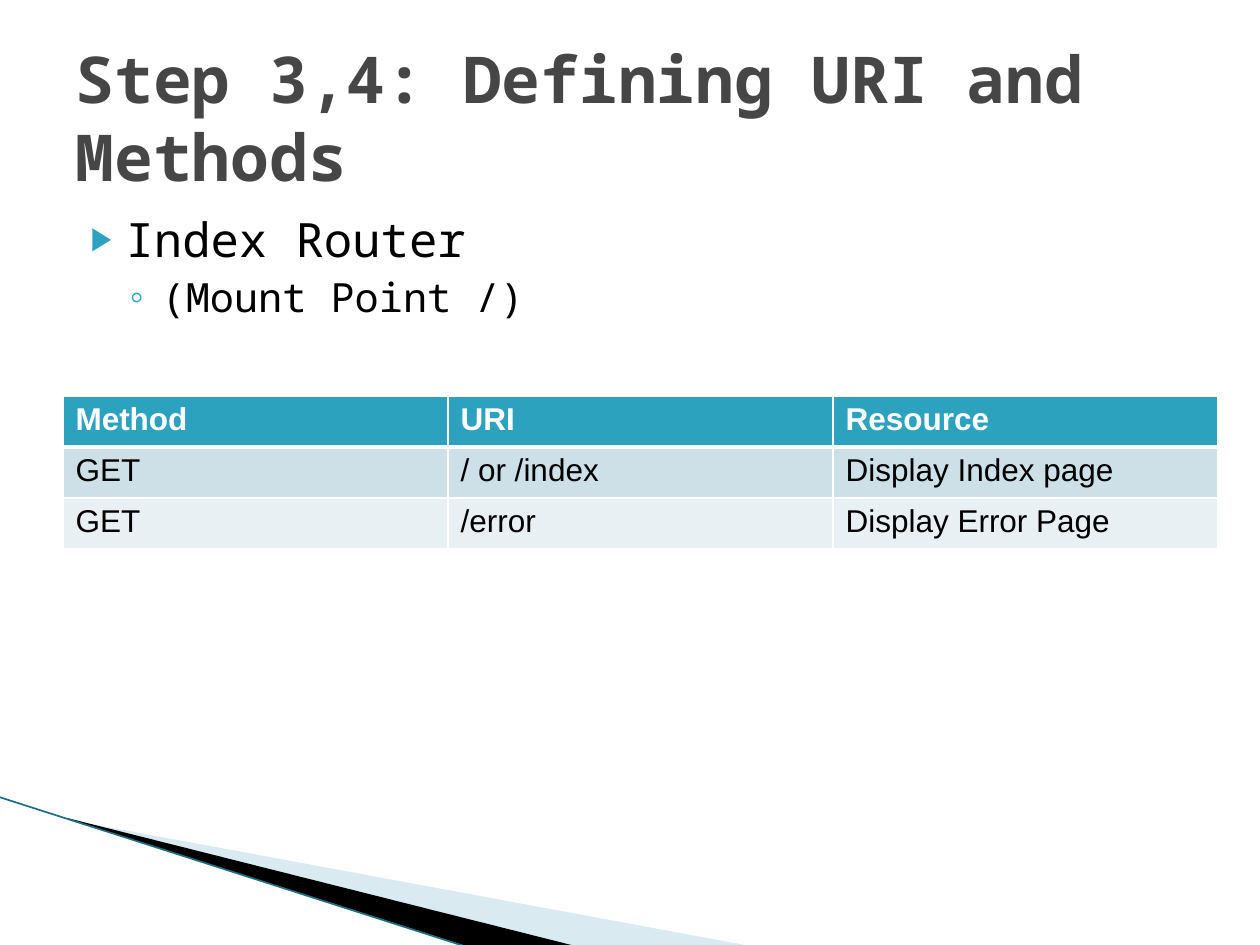
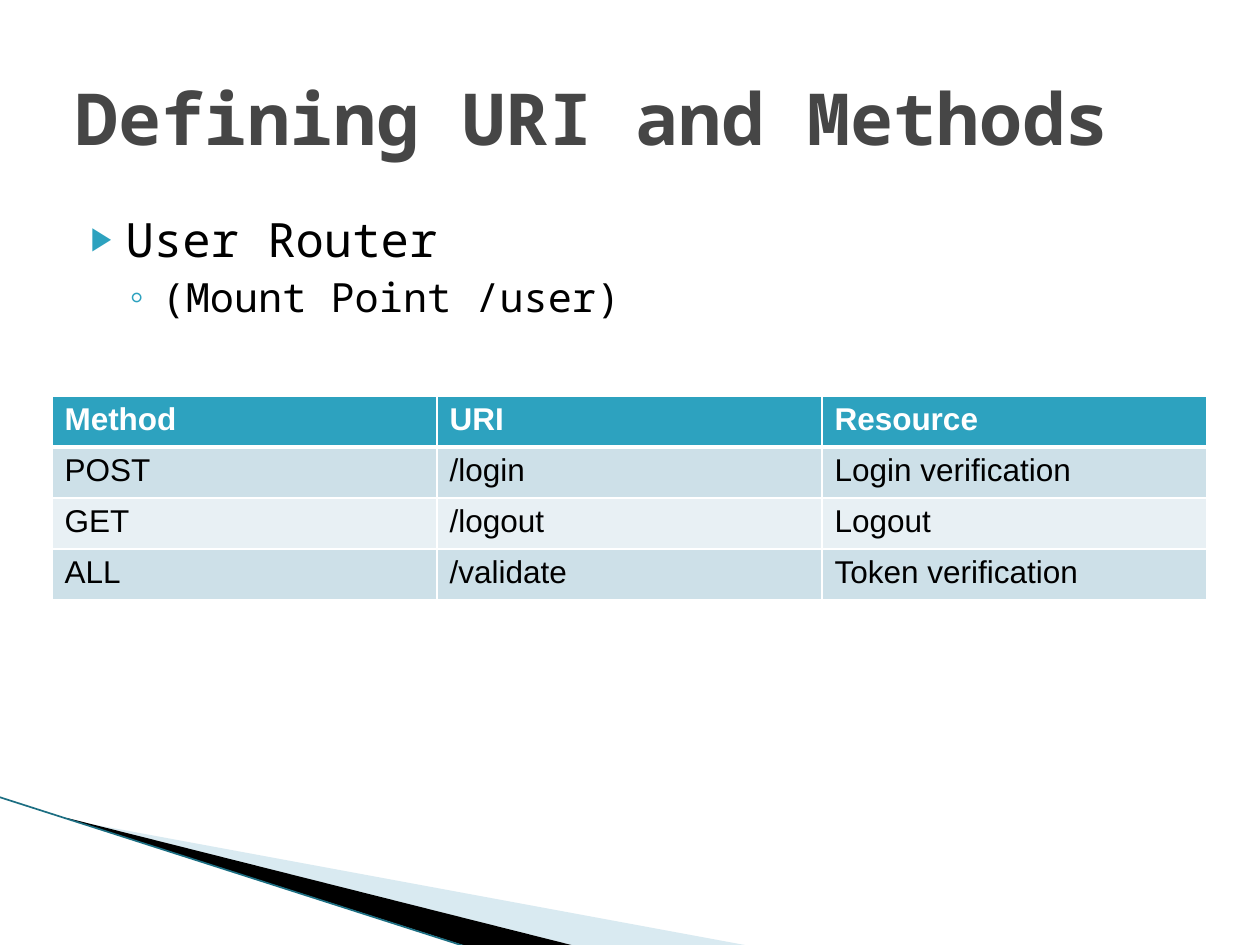
from lxml.etree import SubElement
from pptx import Presentation
from pptx.dml.color import RGBColor
from pptx.enum.shapes import MSO_CONNECTOR as Connector
from pptx.enum.text import MSO_ANCHOR as Anchor, MSO_AUTO_SIZE as AutoSize, PP_ALIGN as Align
from pptx.oxml.ns import qn
from pptx.util import Pt

PX = 914400 / 126
SLIDE_BOX = (0, 0, 1260, 945)
TITLE_BOX = (63, 38, 1134, 157)
COLORS = {
    "title": "464646", "text": "000000", "accent": "2DA2BF", "white": "FFFFFF",
    "band": "CDE0E8", "band_light": "E8F0F4",
    "wedge": "A0CBDC", "wedge_dark": "000000", "edge": "1C6E82",
}
HEADING_FONT, TABLE_FONT = "Noto Sans Mono", "Arial"
LEVELS = [
    {"size": 27, "before": 4, "margin": 50, "indent": -35, "bullet": "▶", "scale": 68},
    {"size": 23, "before": 3.2, "margin": 86, "indent": -32, "bullet": "◦", "scale": 100},
]
WEDGES = [
    ("wedge", 40, (98, 689, 524, 199), [(69, 820), (750, 946), (575, 946), (69, 819)]),
    ("wedge_dark", 100, (-8, 798, 524, 116), [(67, 818), (575, 946), (469, 947), (68, 819)]),
]
HEADER = ["Method", "URI", "Resource"]
SLIDES = [
    {
        "title": "Step 3,4: Defining URI and Methods", "title_size": 36.9,
        "body": ["Index Router", "(Mount Point /)"], "body_box": (63, 204, 1134, 174),
        "rows": [["GET", "/ or /index", "Display Index page"],
                 ["GET", "/error", "Display Error Page"]],
        "table_box": (63, 396, 1155, 153),
    },
    {
        "title": "Defining URI and Methods", "title_size": 41,
        "body": ["User Router", "(Mount Point /user)"], "body_box": (63, 204, 1134, 624),
        "rows": [["POST", "/login", "Login verification"],
                 ["GET", "/logout", "Logout"],
                 ["ALL", "/validate", "Token verification"]],
        "table_box": (52, 396, 1155, 204),
    },
]


def emu(*lengths):
    """Turn px lengths into EMU."""
    return [round(length * PX) for length in lengths]


def color(name):
    """Look up a palette colour."""
    return RGBColor.from_string(COLORS[name])


def place(shape, box):
    """Move a shape to a px box."""
    shape.left, shape.top, shape.width, shape.height = emu(*box)


def format_runs(paragraph, font, size, color_name, bold=False):
    """Apply one font to every run of a paragraph."""
    for run in paragraph.runs:
        run.font.name, run.font.size, run.font.bold = font, Pt(size), bold
        run.font.color.rgb = color(color_name)


def add_color(parent, color_name):
    """Append a colour to an XML element."""
    return SubElement(parent, qn("a:srgbClr"), val=COLORS[color_name])


def reframe(wedge, frame, points):
    """Give a freeform a frame of its own while its outline stays in place."""
    outline = wedge._element.find(".//" + qn("a:path"))
    outline.set("w", str(frame[2]))
    outline.set("h", str(frame[3]))
    for node, (x, y) in zip(outline.iter(qn("a:pt")), points):
        node.set("x", str(x - frame[0]))
        node.set("y", str(y - frame[1]))


def add_wedges(slide, box):
    """Draw the corner wedges and their edge line behind the placeholders."""
    left, top = box[:2]
    parts = []
    for color_name, opacity, frame, points in WEDGES:
        builder = slide.shapes.build_freeform(*points[0], scale=PX)
        builder.add_line_segments(points[1:])
        wedge = builder.convert_to_shape()
        reframe(wedge, frame, points)
        place(wedge, (left + frame[0], top + frame[1], *frame[2:]))
        wedge.shadow.inherit = False
        wedge.fill.solid()
        wedge.fill.fore_color.rgb = color(color_name)
        wedge.line.fill.background()
        if opacity < 100:
            tone = wedge._element.spPr.find(".//" + qn("a:srgbClr"))
            SubElement(tone, qn("a:alpha"), val=str(opacity * 1000))
        parts.append(wedge)
    edge = slide.shapes.add_connector(
        Connector.STRAIGHT, *emu(left - 1, top + 797, left + 467, top + 947))
    edge.line.color.rgb = color("edge")
    edge.line.width = Pt(0.95)
    SubElement(edge._element.spPr, qn("a:effectLst"))
    parts.append(edge)
    for position, part in enumerate(parts, 2):
        slide.shapes._spTree.insert(position, part._element)


def fill_title(slide, box, text, size):
    """Write the slide title."""
    title = slide.shapes.title
    place(title, box)
    frame = title.text_frame
    frame.text = text
    frame.word_wrap = True
    frame.auto_size = AutoSize.NONE
    frame.vertical_anchor = Anchor.MIDDLE
    paragraph = frame.paragraphs[0]
    paragraph.alignment = Align.LEFT
    format_runs(paragraph, HEADING_FONT, size, "title", True)


def set_bullet(paragraph, level):
    """Give a paragraph its indents and coloured bullet."""
    margin, indent = emu(level["margin"], level["indent"])
    properties = paragraph._p.get_or_add_pPr()
    properties.set("marL", str(margin))
    properties.set("indent", str(indent))
    add_color(SubElement(properties, qn("a:buClr")), "accent")
    SubElement(properties, qn("a:buSzPct"), val=str(level["scale"] * 1000))
    SubElement(properties, qn("a:buChar"), char=level["bullet"])


def fill_body(slide, box, lines):
    """Write the list, one level deeper on each line."""
    body = slide.placeholders[1]
    place(body, box)
    frame = body.text_frame
    frame.text = "\n".join(lines)
    frame.auto_size = AutoSize.NONE
    for depth, (paragraph, level) in enumerate(zip(frame.paragraphs, LEVELS)):
        paragraph.level = depth
        paragraph.space_before = Pt(level["before"])
        set_bullet(paragraph, level)
        format_runs(paragraph, HEADING_FONT, level["size"], "text")


def set_borders(cell, bottom):
    """Draw white borders round a cell."""
    properties = cell._tc.get_or_add_tcPr()
    widths = {"a:lnL": 1, "a:lnR": 1, "a:lnT": 1, "a:lnB": bottom}
    for position, (tag, width) in enumerate(widths.items()):
        border = SubElement(properties, qn(tag), w=str(Pt(width)))
        add_color(SubElement(border, qn("a:solidFill")), "white")
        properties.insert(position, border)


def add_route_table(slide, box, rows):
    """Add the table of routes under its header row."""
    rows = [HEADER] + rows
    table = slide.shapes.add_table(len(rows), len(HEADER), *emu(*box)).table
    for row_index, row in enumerate(rows):
        is_header = row_index == 0
        fill_name = "accent" if is_header else "band" if row_index % 2 else "band_light"
        for column_index, text in enumerate(row):
            cell = table.cell(row_index, column_index)
            cell.text = text
            cell.fill.solid()
            cell.fill.fore_color.rgb = color(fill_name)
            set_borders(cell, 3 if is_header else 1)
            format_runs(cell.text_frame.paragraphs[0], TABLE_FONT, 18,
                        "white" if is_header else "text", is_header)


def build_route_slide(presentation, content):
    """Build one slide with a title, a list and a route table."""
    slide = presentation.slides.add_slide(presentation.slide_layouts[1])
    add_wedges(slide, SLIDE_BOX)
    fill_title(slide, TITLE_BOX, content["title"], content["title_size"])
    fill_body(slide, content["body_box"], content["body"])
    add_route_table(slide, content["table_box"], content["rows"])


def main():
    """Build and save the presentation."""
    presentation = Presentation()
    presentation.slide_width, presentation.slide_height = emu(*SLIDE_BOX[2:])
    for content in SLIDES:
        build_route_slide(presentation, content)
    presentation.save("out.pptx")


if __name__ == "__main__":
    main()
